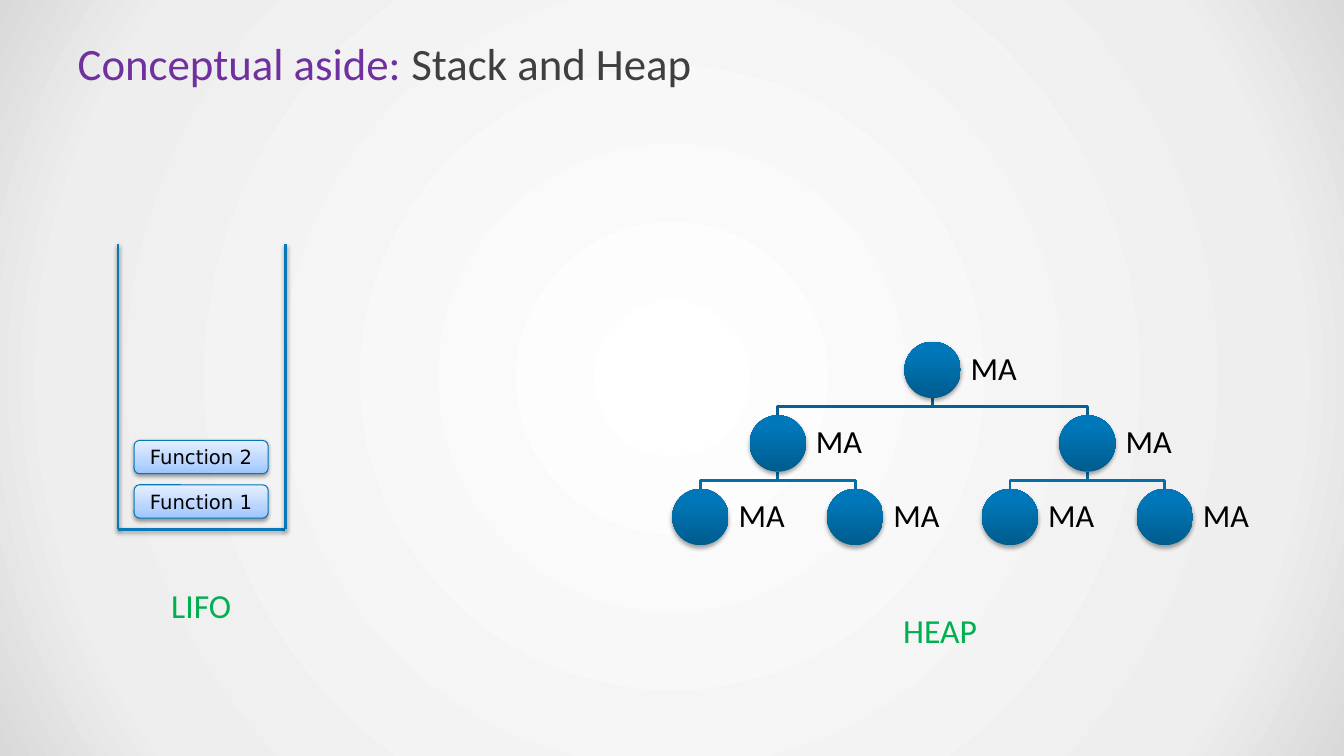
from pptx import Presentation
from pptx.dml.color import RGBColor
from pptx.enum.shapes import MSO_CONNECTOR, MSO_SHAPE
from pptx.enum.text import MSO_ANCHOR, MSO_AUTO_SIZE, PP_ALIGN
from pptx.oxml import parse_xml
from pptx.oxml.ns import nsdecls, qn
from pptx.util import Inches, Pt


def rgb(value):
    return RGBColor.from_string(value)


def set_gradient(props, stops, direction):
    """Replace the stops and direction of the gradient fill in props."""
    fill = props.find(qn("a:gradFill"))
    for child in list(fill):
        fill.remove(child)
    marks = "".join(
        f'<a:gs pos="{pos * 1000}"><a:srgbClr val="{color}"/></a:gs>'
        for pos, color in stops)
    fill.append(parse_xml(f'<a:gsLst {nsdecls("a")}>{marks}</a:gsLst>'))
    fill.append(parse_xml(direction))


UPWARD = f'<a:lin {nsdecls("a")} ang="16200000" scaled="0"/>'
RADIAL = (f'<a:path {nsdecls("a")} path="circle">'
          '<a:fillToRect l="50000" t="50000" r="50000" b="50000"/></a:path>')
NODE_STOPS = [(0, "005C8E"), (80, "0077B8"), (100, "0078B9")]
FUNCTION_STOPS = [(0, "9CC5FF"), (35, "B9D5FF"), (100, "E5EFFF")]

prs = Presentation()
prs.slide_width, prs.slide_height = Inches(13.33), Inches(7.5)
s = prs.slides.add_slide(prs.slide_layouts[5])
shadowed = []  # (shape, opacity in percent, distance in points)

# Background
s.background.fill.gradient()
set_gradient(s.element.cSld.bg.bgPr,
             [(0, "FFFFFF"), (81, "EEEEEE"), (100, "D9D9D9")], RADIAL)

# Title
title = s.shapes.title
title.left, title.top = Inches(0.67), Inches(0.3)
title.width, title.height = Inches(12), Inches(0.78)
tf = title.text_frame
tf.vertical_anchor = MSO_ANCHOR.TOP
p = tf.paragraphs[0]
p.alignment = PP_ALIGN.LEFT
for text, color in [("Conceptual aside: ", "7030A0"), ("Stack and Heap", "3F3F3F")]:
    r = p.add_run()
    r.text = text
    r.font.name, r.font.size = "Calibri", Pt(32)
    r.font.color.rgb = rgb(color)

# Stack container: left wall, floor, right wall
left, right, top, floor = 1.17, 2.83, 2.42, 5.25
for x1, y1, x2, y2 in [(left, top, left, floor), (left, floor, right, floor),
                       (right, top, right, floor)]:
    line = s.shapes.add_connector(MSO_CONNECTOR.STRAIGHT, Inches(x1), Inches(y1),
                                  Inches(x2), Inches(y2))
    line.line.color.rgb = rgb("0779B7")
    line.line.width = Pt(2)
    shadowed.append((line, 38, 1.6))

# Functions on the stack, from the bottom up
for i in range(2):
    sp = s.shapes.add_shape(MSO_SHAPE.ROUNDED_RECTANGLE, Inches(1.33),
                            Inches(4.81 - 0.44 * i), Inches(1.33), Inches(0.33))
    sp.fill.gradient()
    set_gradient(sp.element.spPr, FUNCTION_STOPS, UPWARD)
    sp.line.color.rgb = rgb("0378B7")
    sp.line.width = Pt(0.75)
    shadowed.append((sp, 38, 1.6))
    tf = sp.text_frame
    tf.vertical_anchor = MSO_ANCHOR.MIDDLE
    p = tf.paragraphs[0]
    p.alignment = PP_ALIGN.CENTER
    r = p.add_run()
    r.text = f"Function {i + 1}"
    r.font.name, r.font.size = "DejaVu Sans", Pt(14)
    r.font.color.rgb = rgb("000000")

# Heap tree: centre x of every node, level by level
tree_top, row_pitch, node_size = 3.39, 0.73, 0.56
levels = [[9.25 + (i - (2 ** n - 1) / 2) * 6.14 / 2 ** n for i in range(2 ** n)]
          for n in range(3)]

# Links from each parent to its children
for n, color in [(1, "066193"), (2, "066EA6")]:
    end = tree_top + n * row_pitch
    start = end - row_pitch + node_size
    middle = (start + end) / 2
    for i, x in enumerate(levels[n]):
        parent = levels[n - 1][i // 2]
        outline = s.shapes.build_freeform(Inches(parent), Inches(start))
        outline.add_line_segments(
            [(Inches(parent), Inches(middle)), (Inches(x), Inches(middle)),
             (Inches(x), Inches(end))], close=False)
        link = outline.convert_to_shape()
        link.fill.background()
        link.line.color.rgb = rgb(color)
        link.line.width = Pt(2)
        link.shadow.inherit = False

# Nodes and their labels
for n, centres in enumerate(levels):
    y = Inches(tree_top + n * row_pitch)
    for x in centres:
        node = s.shapes.add_shape(MSO_SHAPE.OVAL, Inches(x - node_size / 2), y,
                                  Inches(node_size), Inches(node_size))
        node.fill.gradient()
        set_gradient(node.element.spPr, NODE_STOPS, UPWARD)
        node.line.fill.background()
        shadowed.append((node, 35, 1.8))

        label = s.shapes.add_textbox(Inches(x + node_size / 2), y,
                                     Inches(0.84), Inches(node_size))
        tf = label.text_frame
        tf.word_wrap = True
        tf.vertical_anchor = MSO_ANCHOR.MIDDLE
        for side in ("left", "top", "right", "bottom"):
            setattr(tf, f"margin_{side}", Inches(0.1))
        p = tf.paragraphs[0]
        p.line_spacing = 0.9
        r = p.add_run()
        r.text = "MA"
        r.font.name, r.font.size = "Calibri", Pt(23)
        r.font.color.rgb = rgb("000000")

# Captions
for text, x, y, width in [("LIFO", 1.6, 5.75, 0.8), ("HEAP", 8.86, 6, 0.94)]:
    caption = s.shapes.add_textbox(Inches(x), Inches(y), Inches(width), Inches(0.5))
    tf = caption.text_frame
    tf.word_wrap = False
    tf.auto_size = MSO_AUTO_SIZE.SHAPE_TO_FIT_TEXT
    r = tf.paragraphs[0].add_run()
    r.text = text
    r.font.name, r.font.size = "Calibri", Pt(24)
    r.font.color.rgb = rgb("00B050")

# Drop shadows
for sp, opacity, distance in shadowed:
    sp.element.spPr.append(parse_xml(
        f'<a:effectLst {nsdecls("a")}><a:outerShdw blurRad="{Pt(3.1)}" '
        f'dist="{Pt(distance)}" dir="5400000" rotWithShape="0">'
        f'<a:srgbClr val="000000"><a:alpha val="{opacity * 1000}"/></a:srgbClr>'
        '</a:outerShdw></a:effectLst>'))

prs.save("out.pptx")
